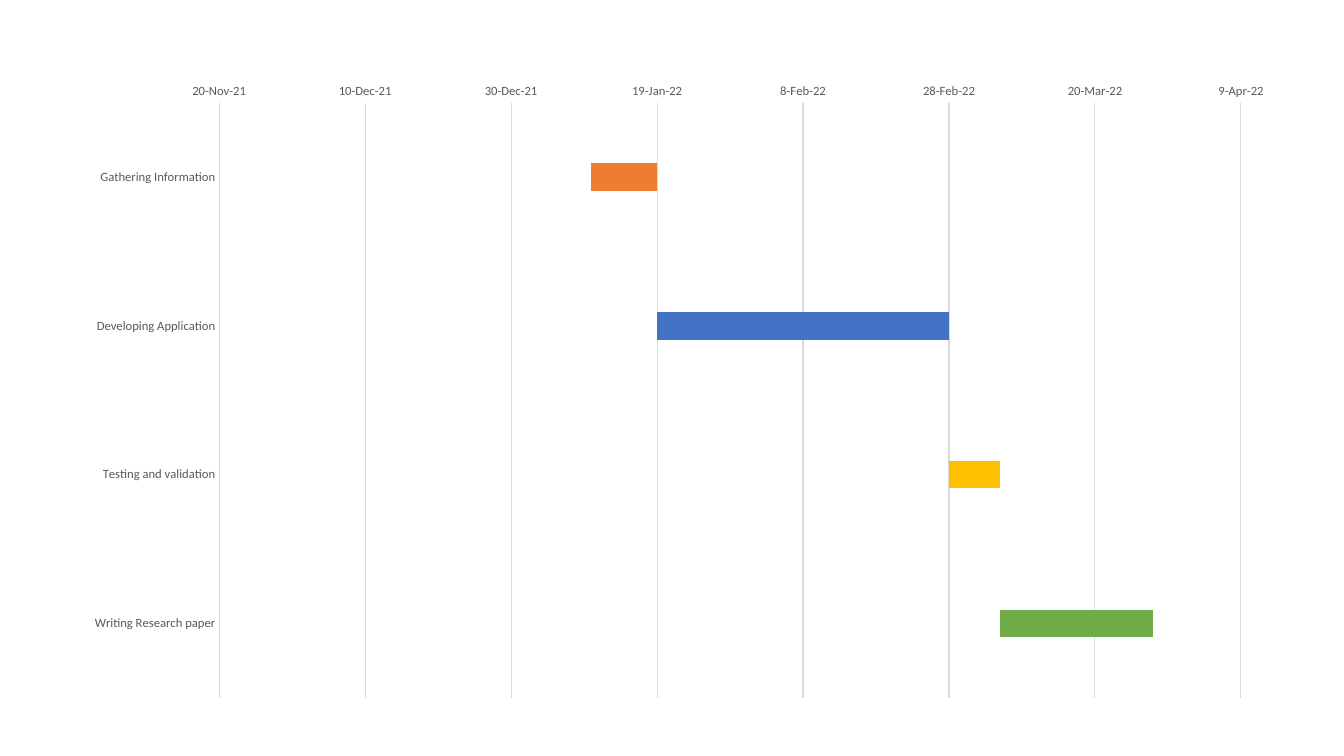
import pptx
import pptx.chart.data
import pptx.dml.color
import pptx.enum.chart
import pptx.oxml
import pptx.oxml.ns
import pptx.util

START = 44520  # day number of 20-Nov-21
STEP = 20
# task, first day, number of days, colour
TASKS = [
    ("Gathering Information", 44571, 9, "ED7D31"),
    ("Developing Application", 44580, 40, "4472C4"),
    ("Testing and validation", 44620, 7, "FFC000"),
    ("Writing Research paper", 44627, 21, "70AD47"),
]
PLOT = {"x": 0.122, "y": 0.049, "w": 0.839, "h": 0.931}


def paint(fill, tint):
    fill.solid()
    fill.fore_color.rgb = pptx.dml.color.RGBColor.from_string(tint)


def apply(item, values):
    for name, value in values.items():
        setattr(item, name, value)


def set_font(font, size, tint):
    apply(font, {"name": "Calibri", "size": pptx.util.Pt(size)})
    paint(font.fill, tint)


def set_line(line):
    paint(line.fill, "D9D9D9")
    line.width = pptx.util.Pt(0.75)


def place_plot(chart):
    """Fix the inner plot area as fractions of the chart box."""
    area = chart._chartSpace.chart.plotArea
    for old in area.findall(pptx.oxml.ns.qn("c:layout")):
        area.remove(old)
    modes = "".join(f'<c:{k}Mode val="edge"/>' for k in "xy")
    sizes = "".join(f'<c:{k} val="{v}"/>' for k, v in PLOT.items())
    area.insert(0, pptx.oxml.parse_xml(
        f'<c:layout {pptx.oxml.ns.nsdecls("c")}><c:manualLayout>'
        f'<c:layoutTarget val="inner"/>{modes}{sizes}'
        '</c:manualLayout></c:layout>'))


def style_axes(chart):
    tasks, dates = chart.category_axis, chart.value_axis
    none = pptx.enum.chart.XL_TICK_MARK.NONE
    for axis in (tasks, dates):
        apply(axis, {"major_tick_mark": none, "minor_tick_mark": none})
        set_font(axis.tick_labels.font, 9, "595959")
    apply(tasks, {"reverse_order": True, "has_major_gridlines": False})
    set_line(tasks.format.line)
    apply(dates, {
        "minimum_scale": START,
        "maximum_scale": START + 7 * STEP,
        "major_unit": STEP,
        "has_major_gridlines": True,
    })
    dates.format.line.fill.background()
    set_line(dates.major_gridlines.format.line)
    apply(dates.tick_labels, {
        "number_format": r"d\-mmm\-yy",
        "number_format_is_linked": False,
    })


def add_gantt(slide, left, top, width, height):
    """Stacked bars: an unfilled start offset, then the coloured length."""
    names, starts, days, tints = zip(*TASKS)
    data = pptx.chart.data.CategoryChartData()
    data.categories = names
    data.add_series("Start", starts)
    data.add_series("Days", days)
    box = [pptx.util.Inches(n) for n in (left, top, width, height)]
    chart = slide.shapes.add_chart(
        pptx.enum.chart.XL_CHART_TYPE.BAR_STACKED, *box, data).chart
    apply(chart, {"has_title": False, "has_legend": False})
    set_font(chart.font, 10, "000000")
    plot = chart.plots[0]
    apply(plot, {"gap_width": 440, "overlap": 100,
                 "vary_by_categories": False})
    offset, bars = plot.series
    offset.format.fill.background()
    paint(bars.format.fill, tints[0])
    for index, tint in enumerate(tints[1:], 1):
        paint(bars.points[index].format.fill, tint)
    style_axes(chart)
    place_plot(chart)


def main():
    deck = pptx.Presentation()
    apply(deck, {"slide_width": pptx.util.Inches(13.33),
                 "slide_height": pptx.util.Inches(7.5)})
    slide = deck.slides.add_slide(deck.slide_layouts[6])
    add_gantt(slide, 0.7, 0.71, 12.08, 6.34)
    deck.save("out.pptx")


if __name__ == "__main__":
    main()
